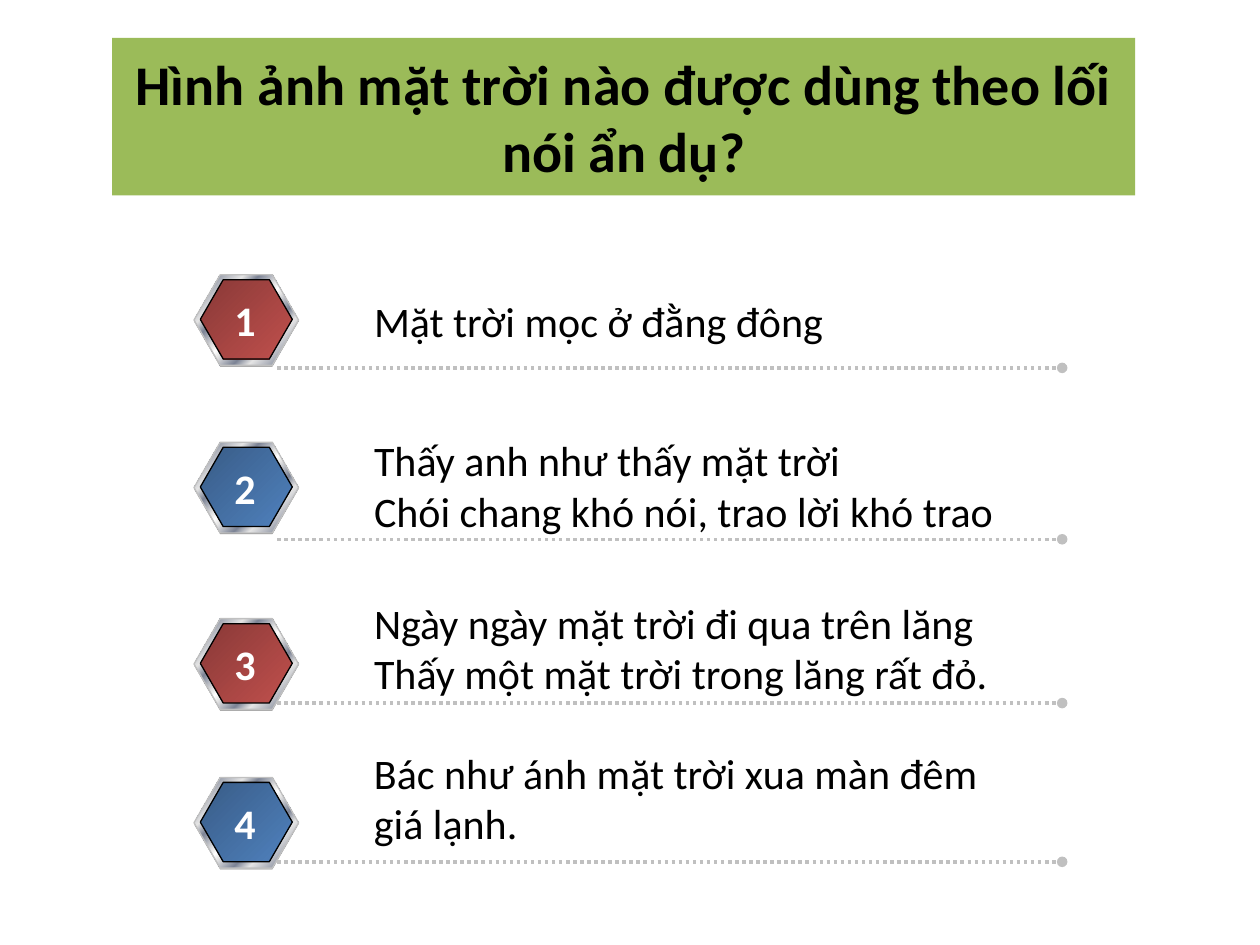
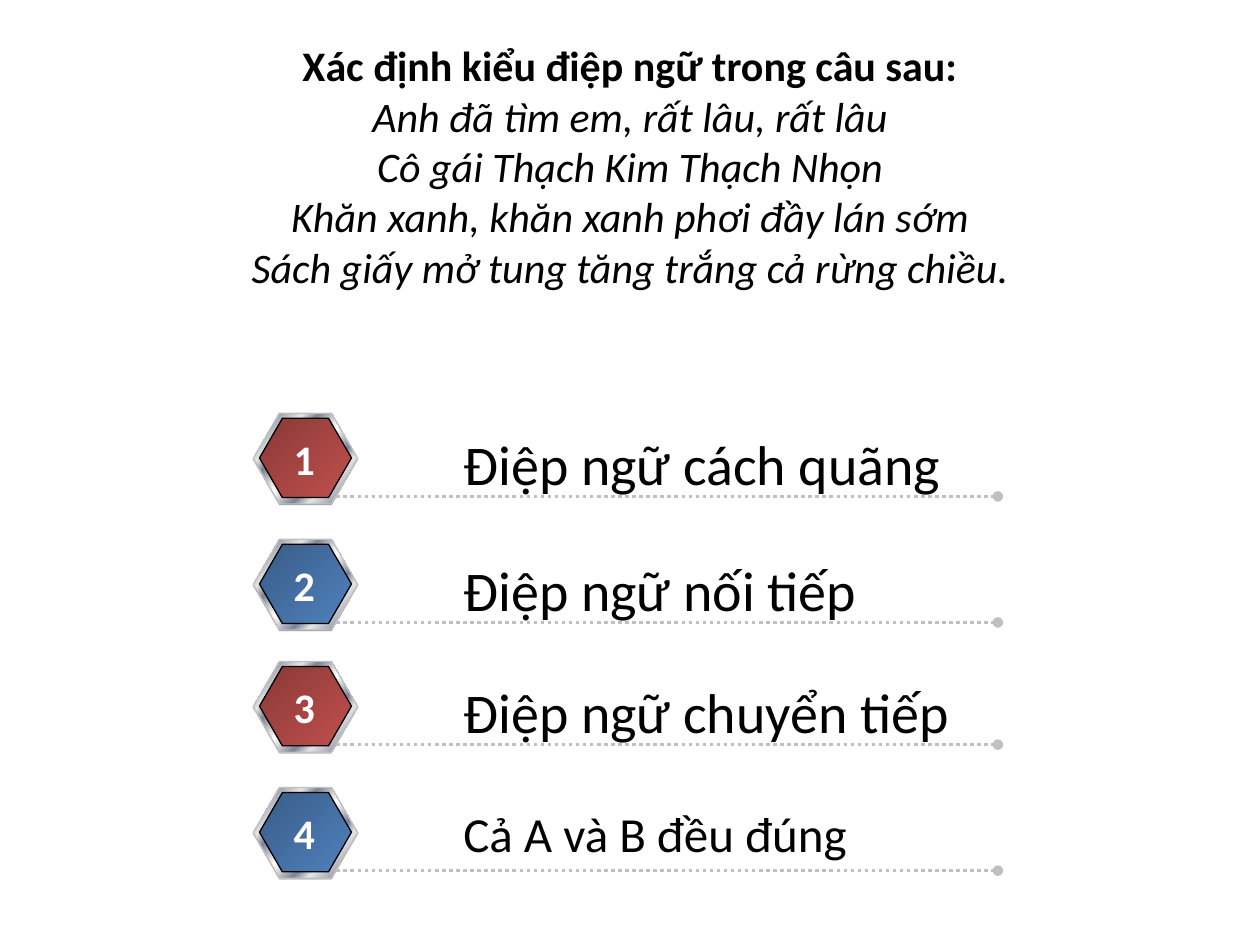
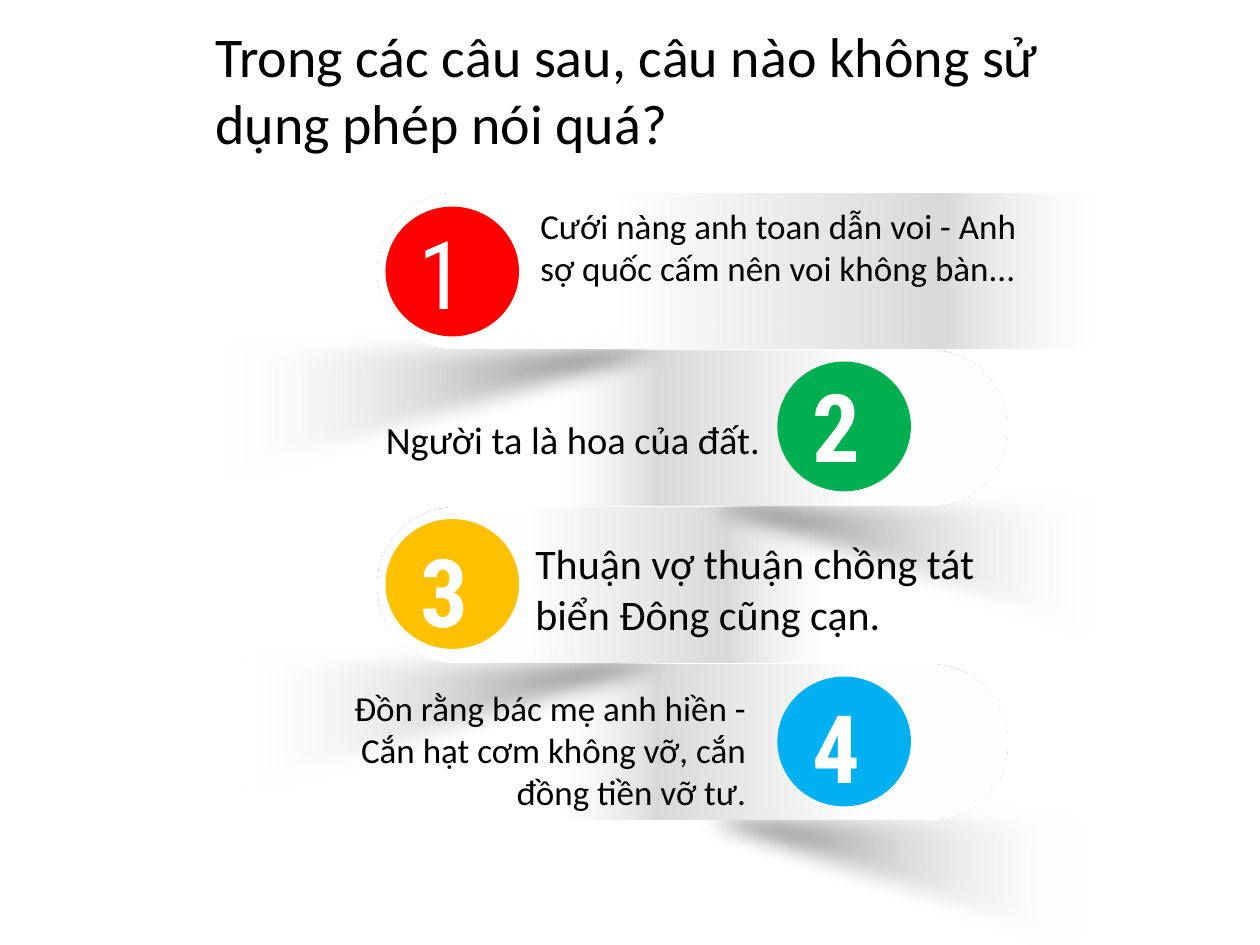
from lxml import etree
from pptx import Presentation
from pptx.dml.color import RGBColor
from pptx.enum.dml import MSO_LINE
from pptx.enum.shapes import MSO_CONNECTOR, MSO_SHAPE
from pptx.enum.text import MSO_ANCHOR, MSO_AUTO_SIZE, PP_ALIGN
from pptx.oxml.ns import qn
from pptx.util import Inches, Pt

HEXAGON = MSO_SHAPE.HEXAGON
OVAL = MSO_SHAPE.OVAL
WEDGE = MSO_SHAPE.RIGHT_TRIANGLE
TAB = MSO_SHAPE.ROUND_2_SAME_RECTANGLE
STRAIGHT = MSO_CONNECTOR.STRAIGHT
DOTTED = MSO_LINE.ROUND_DOT
LEFT, CENTER, RIGHT = PP_ALIGN.LEFT, PP_ALIGN.CENTER, PP_ALIGN.RIGHT
TOP, MIDDLE = MSO_ANCHOR.TOP, MSO_ANCHOR.MIDDLE
GROW, FIXED = MSO_AUTO_SIZE.SHAPE_TO_FIT_TEXT, MSO_AUTO_SIZE.NONE

BLACK, WHITE, GREEN = "000000", "FFFFFF", "9BBB59"
SILVER, GRAY = "C0C0C0", "808080"
LIGHT, STEEL = "E6E6E6", "7D8496"
METAL = [(0, LIGHT), (8, STEEL), (26, LIGHT), (34, STEEL), (46, LIGHT), (50, WHITE),
         (54, LIGHT), (66, STEEL), (74, LIGHT), (92, STEEL), (100, LIGHT)]
RED = [(0, "893937"), (100, "C0504D")]
BLUE = [(0, "395C87"), (100, "4F81BD")]
SHADE = [(0, WHITE, 0), (95, BLACK)]
PAPER = [(33, WHITE), (78, "D9D9D9"), (100, "F0F0F0", 0)]


def color(code):
    return RGBColor.from_string(code)


def add(parent, tag, **values):
    return etree.SubElement(parent, qn(tag), values)


class Deck:
    font = "Calibri"

    def __init__(self):
        self.show = Presentation()
        self.show.slide_width = Inches(10)
        self.show.slide_height = Inches(7.5)
        self.slide = None

    def page(self):
        self.slide = self.show.slides.add_slide(self.show.slide_layouts[6])

    def text(self, words, left, top, width, height, size=24, ink=BLACK, bold=False,
             italic=False, align=LEFT, anchor=TOP, wrap=True, fit=GROW,
             font=None, space=None, fill=None):
        box = self.slide.shapes.add_textbox(
            Inches(left), Inches(top), Inches(width), Inches(height))
        if fill:
            box.fill.solid()
            box.fill.fore_color.rgb = color(fill)
        frame = box.text_frame
        frame.word_wrap = wrap
        frame.auto_size = fit
        frame.vertical_anchor = anchor
        frame.text = words
        for para in frame.paragraphs:
            para.alignment = align
            for run in para.runs:
                run.font.name = font or self.font
                run.font.size = Pt(size)
                run.font.bold = bold
                run.font.italic = italic
                run.font.color.rgb = color(ink)
                if space:
                    run.font._element.set("spc", str(space * 100))
        return frame

    def shape(self, kind, left, top, width, height, fill, angle=0, line=None,
              adjust=(), turn=0, flip="", soft=0, group=None):
        home = group or self.slide
        item = home.shapes.add_shape(
            kind, Inches(left), Inches(top), Inches(width), Inches(height))
        item.shadow.inherit = False
        item.rotation = turn
        for index, value in enumerate(adjust):
            item.adjustments[index] = value
        props = item.element.spPr
        for axis in flip:
            props.find(qn("a:xfrm")).set("flip" + axis, "1")
        if isinstance(fill, str):
            item.fill.solid()
            item.fill.fore_color.rgb = color(fill)
        else:
            self.blend(item, fill, angle)
        if line:
            item.line.color.rgb = color(line)
            item.line.width = Pt(0.75)
        else:
            item.line.fill.background()
        if soft:
            add(props.find(qn("a:effectLst")), "a:softEdge", rad=str(Pt(soft)))

    def blend(self, item, stops, angle):
        item.fill.gradient()
        grad = item.element.spPr.find(qn("a:gradFill"))
        steps = grad.find(qn("a:gsLst"))
        for old in list(steps):
            steps.remove(old)
        for place, code, *alpha in stops:
            stop = add(steps, "a:gs", pos=str(place * 1000))
            paint = add(stop, "a:srgbClr", val=code)
            for value in alpha:
                add(paint, "a:alpha", val=str(value * 1000))
        grad.find(qn("a:lin")).set("ang", str(angle * 60000))

    def rule(self, start, end, y):
        line = self.slide.shapes.add_connector(
            STRAIGHT, Inches(start), Inches(y), Inches(end), Inches(y))
        line.line.color.rgb = color(SILVER)
        line.line.width = Pt(2)
        line.line.dash_style = DOTTED
        add(line.line._get_or_add_ln(), "a:tailEnd", type="oval")
        add(line.element.spPr, "a:effectLst")

    def badge(self, number, left, top):
        group = self.slide.shapes.add_group_shape()
        form = {"adjust": (0.289,), "angle": 45, "group": group}
        tint = RED if number % 2 else BLUE
        self.shape(HEXAGON, left, top + 0.01, 0.83, 0.72, GRAY, **form)
        self.shape(HEXAGON, left, top, 0.83, 0.72, METAL, line=SILVER, **form)
        self.shape(HEXAGON, left + 0.05, top + 0.04, 0.73, 0.63, tint, line=BLACK, **form)

    def choice(self, number, left, top, end, y, words, place, **form):
        self.badge(number, left, top)
        self.rule(left + 0.66, end, y)
        self.text(words, *place, **form)
        self.text(str(number), left + 0.21, top + 0.11, 0.39, 0.5,
                  ink=WHITE, bold=True, align=CENTER, wrap=False)

    def fold(self, top, width, side, wedge):
        left, start, span = wedge
        flip = "V" if side == "left" else "HV"
        self.shape(WEDGE, left, start, span, 1.43, SHADE, flip=flip, soft=12.5)
        middle = 3.0 + width / 2 if side == "left" else 8.0 - width / 2
        turn, mirror = (270, "") if side == "left" else (90, "H")
        self.shape(TAB, middle - 0.62, top + 0.62 - width / 2, 1.23, width, PAPER,
                   angle=90, adjust=(0.5, 0), turn=turn, flip=mirror)


def suns(deck):
    deck.page()
    deck.text("Hình ảnh mặt trời nào được dùng theo lối nói ẩn dụ?", 0.89, 0.3, 8.12, 1.25,
              size=32, bold=True, align=CENTER, anchor=MIDDLE, fit=FIXED, fill=GREEN)
    rows = [
        (2.18, 2.92, "Mặt trời mọc ở đằng đông", 2.3, 5.35, 0.5),
        (3.51, 4.28, "Thấy anh như thấy mặt trời\nChói chang khó nói, trao lời khó trao",
         3.4, 5.58, 0.91),
        (4.91, 5.58, "Ngày ngày mặt trời đi qua trên lăng\nThấy một mặt trời trong lăng rất đỏ.",
         4.69, 5.59, 0.91),
        (6.17, 6.84, "Bác như ánh mặt trời xua màn đêm giá lạnh.", 5.88, 5.27, 0.91),
    ]
    for number, (top, y, words, head, width, height) in enumerate(rows, 1):
        deck.choice(number, 1.54, top, 8.43, y, words, (2.87, head, width, height))


def repeats(deck):
    deck.page()
    verse = deck.text(
        "Xác định kiểu điệp ngữ trong câu sau:\n"
        "Anh đã tìm em, rất lâu, rất lâu\n"
        "Cô gái Thạch Kim Thạch Nhọn\n"
        "Khăn xanh, khăn xanh phơi đầy lán sớm\n"
        "Sách giấy mở tung tăng trắng cả rừng chiều.",
        0.5, 0.69, 9, 1.25, italic=True, align=CENTER, anchor=MIDDLE, fit=FIXED)
    lead = verse.paragraphs[0].runs[0].font
    lead.bold, lead.italic = True, False
    rows = [
        (3.28, "Điệp ngữ cách quãng", 4.03, 0.64, 32),
        (4.28, "Điệp ngữ nối tiếp", 3.36, 0.64, 32),
        (5.25, "Điệp ngữ chuyển tiếp", 4.1, 0.64, 32),
        (6.25, "Cả A và B đều đúng", 3.64, 0.57, 28),
    ]
    for number, (top, words, width, height, size) in enumerate(rows, 1):
        deck.choice(number, 2.01, top, 7.92, top + 0.66, words,
                    (3.58, top + 0.08, width, height), size=size, wrap=False)


def claims(deck):
    deck.page()
    folds = [
        (5.27, 3.55, "right", (4.45, 6.34, 4.25)),
        (4.02, 3.55, "left", (1.77, 5.09, 4.78)),
        (2.78, 3.55, "right", (4.45, 3.85, 4.41)),
        (1.53, 5.72, "left", (1.61, 2.61, 4.94)),
    ]
    for fold in folds:
        deck.fold(*fold)
    rows = [
        (3.06, 1.64, "FF0000", (3.22, 1.66),
         "Cưới nàng anh toan dẫn voi - Anh sợ quốc cấm nên voi không bàn...",
         (4.19, 1.57, 4.27, 1.11), 20, LEFT),
        (6.17, 2.87, "00B050", (6.35, 2.87), "Người ta là hoa của đất.",
         (2.24, 3.25, 3.89, 0.47), 22, RIGHT),
        (3.06, 4.12, "FFC000", (3.24, 4.18), "Thuận vợ thuận chồng tát biển Đông cũng cạn.",
         (4.15, 4.22, 3.76, 0.91), 24, LEFT),
        (6.17, 5.37, "00B0F0", (6.35, 5.42),
         "Đồn rằng bác mẹ anh hiền - Cắn hạt cơm không vỡ, cắn đồng tiền vỡ tư.",
         (2.32, 5.4, 3.7, 1.11), 20, RIGHT),
    ]
    for number, (left, top, fill, spot, words, place, size, align) in enumerate(rows, 1):
        deck.shape(OVAL, left, top, 1.06, 1.03, fill)
        deck.text(words, *place, size=size, align=align)
        deck.text(str(number), *spot, 0.56, 1.01, size=54, ink=WHITE,
                  bold=number > 1, font="Roboto Condensed", space=3)
    deck.text("Trong các câu sau, câu nào không sử dụng phép nói quá?",
              1.61, 0.12, 7.32, 1.18, size=32)


def main():
    deck = Deck()
    suns(deck)
    repeats(deck)
    claims(deck)
    deck.show.save("out.pptx")


if __name__ == "__main__":
    main()
